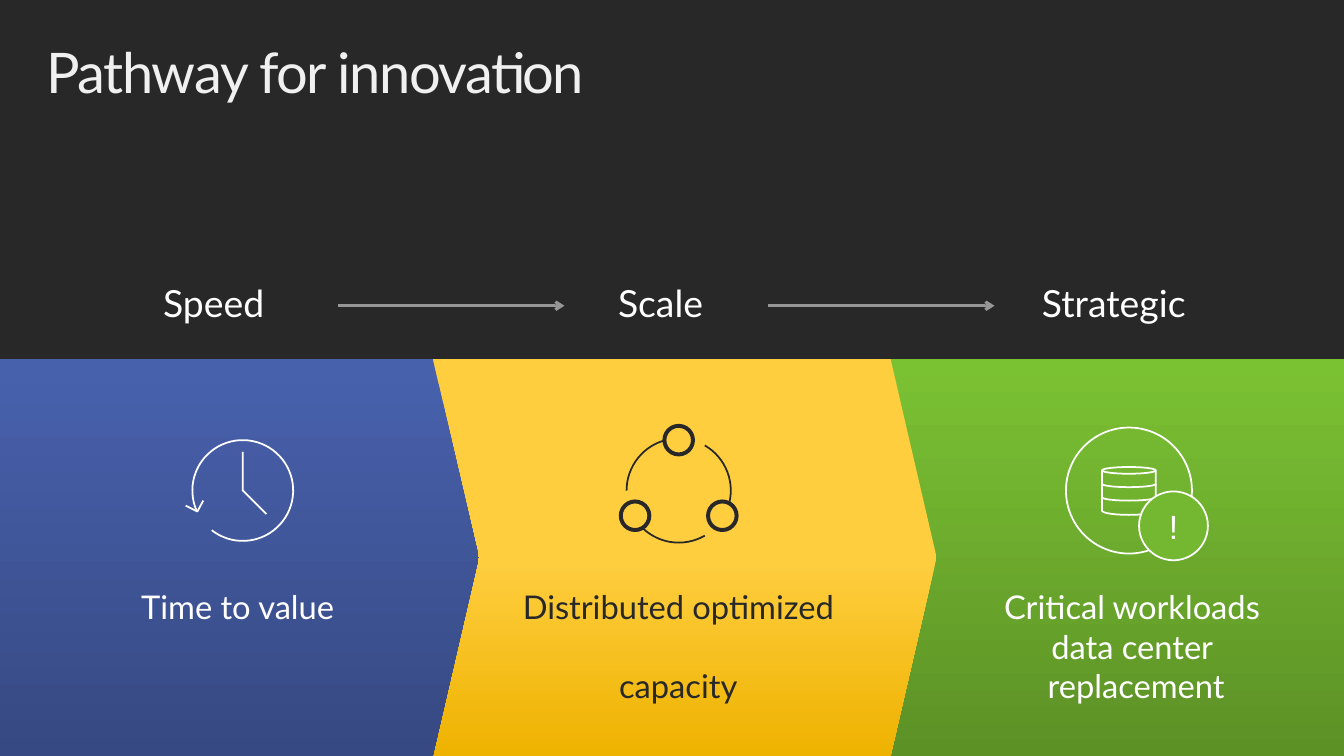
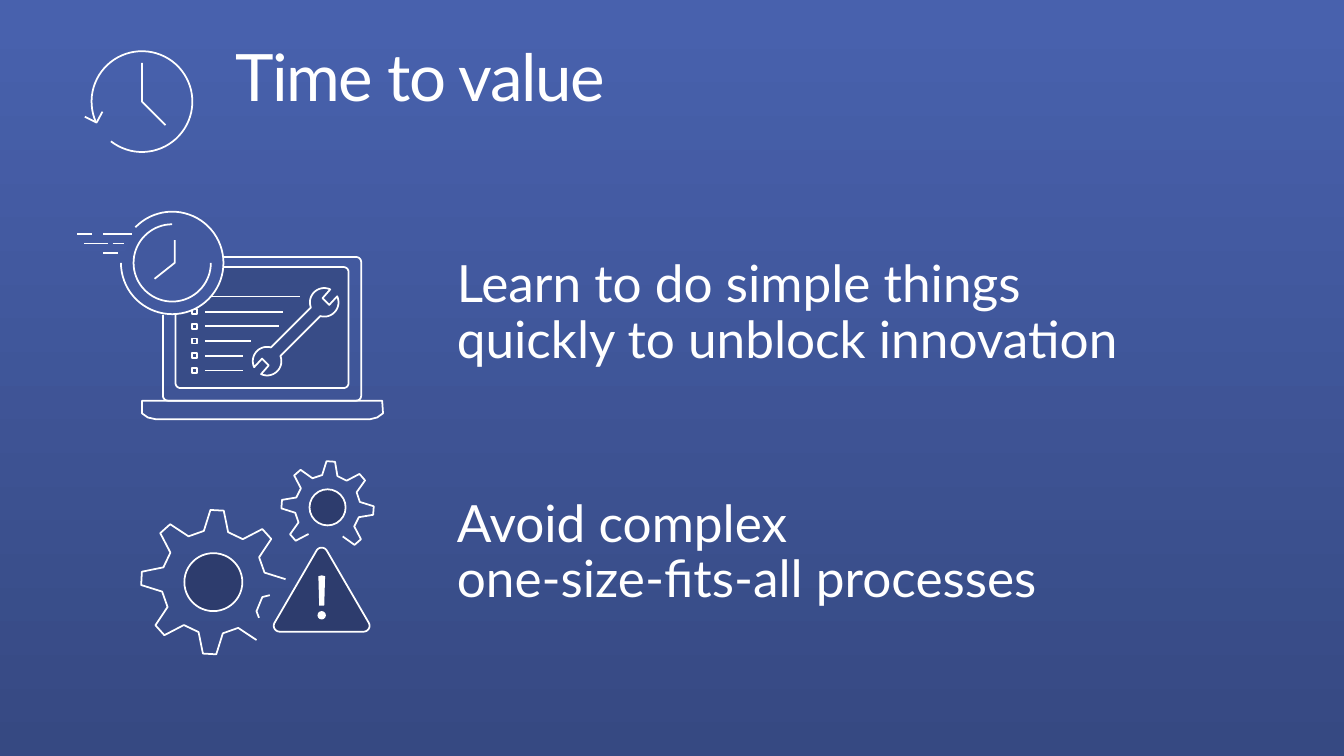
import copy
import math
from dataclasses import dataclass
from typing import Any, Callable

from pptx import Presentation
from pptx import util as u
from pptx.dml.color import RGBColor
from pptx.enum import shapes, text
from pptx.oxml import ns, xmlchemy

COLUMNS, ROWS = 16, 9
CELL = u.Inches(1)
FONT = "Lato"
WHITE = RGBColor(0xFF, 0xFF, 0xFF)
BLACK = RGBColor(0x00, 0x00, 0x00)
CHARCOAL = RGBColor(0x28, 0x28, 0x28)
TITLE_GREY = RGBColor(0xF0, 0xF0, 0xF0)
ARROW_GREY = RGBColor(0x96, 0x96, 0x96)
BADGE_GREEN = RGBColor(0x74, 0xB7, 0x30)
SCREEN_BLUE = RGBColor(0x38, 0x4C, 0x87)
WATCH_BLUE = RGBColor(0x42, 0x59, 0x9F)
DEEP_BLUE = RGBColor(0x2D, 0x3C, 0x6D)
BLUES = ((0.02, RGBColor(0x48, 0x61, 0xAD)), (1, RGBColor(0x36, 0x49, 0x82)))
YELLOWS = ((0.51, RGBColor(0xFF, 0xCE, 0x3F)), (1, RGBColor(0xEE, 0xB2, 0x00)))
GREENS = ((0, RGBColor(0x7B, 0xC2, 0x33)), (1, RGBColor(0x5C, 0x91, 0x26)))
RECTANGLE = shapes.MSO_SHAPE.RECTANGLE
ARROW_BAND = shapes.MSO_SHAPE.PENTAGON


def grid(*cells):
    return [u.Emu(round(cell * CELL)) for cell in cells]


def new_slide(presentation):
    slide = presentation.slides.add_slide(presentation.slide_layouts[6])
    slide.background.fill.solid()
    slide.background.fill.fore_color.rgb = CHARCOAL
    return slide


def write(frame, words, size, color, align=None, spacing=None, font=FONT, tracking=None):
    frame.word_wrap = True
    paragraph = frame.paragraphs[0]
    paragraph.text = words
    paragraph.alignment = align
    paragraph.line_spacing = spacing
    for run in paragraph.runs:
        run.font.size = u.Pt(size)
        run.font.name = font
        run.font.color.rgb = color
        if tracking:
            run.font._element.set("spc", str(tracking))
    for line_break in paragraph._p.findall(ns.qn("a:br")):
        line_break.append(copy.deepcopy(paragraph.runs[0].font._element))


def add_text(slide, box, words, size, color, **style):
    frame = slide.shapes.add_textbox(*grid(*box)).text_frame
    write(frame, words, size, color, **style)
    return frame


def add_title(slide, left, words, size, color):
    frame = add_text(slide, (left, 0.38, 15.65 - left, 1.18), words, size, color,
                     spacing=0.9, tracking=-120)
    frame.margin_left = frame.margin_right = u.Inches(0.2)
    frame.margin_top = frame.margin_bottom = u.Inches(0.16)


def add_band(slide, preset, box, stops):
    band = slide.shapes.add_shape(preset, *grid(*box))
    band.shadow.inherit = False
    band.line.fill.background()
    if preset == ARROW_BAND:
        band.adjustments[0] = 0.116
    band.fill.gradient()
    band.fill.gradient_angle = 270
    for stop, (position, color) in zip(band.fill.gradient_stops, stops):
        stop.position = position
        stop.color.rgb = color


def add_line(container, start, end, color, width):
    line = container.add_connector(shapes.MSO_CONNECTOR.STRAIGHT, *grid(*start, *end))
    line.line.color.rgb = color
    line.line.width = u.Pt(width)
    line._element.spPr.append(xmlchemy.OxmlElement("a:effectLst"))
    return line


def add_arrow(slide, left, top, length):
    arrow = add_line(slide.shapes, (left, top), (left + length, top), ARROW_GREY, 2.5)
    head = xmlchemy.OxmlElement("a:tailEnd")
    head.set("type", "arrow")
    arrow.line._get_or_add_ln().append(head)


def polar(x, y, radius, degrees, height=None):
    angle = math.radians(degrees)
    return (x + radius * math.cos(angle),
            y + (radius if height is None else height) * math.sin(angle))


def arc(x, y, radius, start, end, height=None):
    """Points along an arc; degrees run clockwise from the right."""
    steps = max(4, round(abs(end - start) / 5))
    return [polar(x, y, radius, start + (end - start) * i / steps, height)
            for i in range(steps + 1)]


class Icon:
    """A group of drawn shapes, measured in cells from a centre."""

    def __init__(self, slide, x, y, ink=WHITE):
        self.members = slide.shapes.add_group_shape().shapes
        self.x, self.y, self.ink = x, y, ink

    def finish(self, shape, fill, width):
        shape.shadow.inherit = False
        if fill is None:
            shape.fill.background()
        else:
            shape.fill.solid()
            shape.fill.fore_color.rgb = fill
        if width:
            shape.line.color.rgb = self.ink
            shape.line.width = u.Pt(width)
        else:
            shape.line.fill.background()
        return shape

    def outline(self, points, closed=False, fill=None, width=1.5):
        first, *rest = [grid(self.x + x, self.y + y) for x, y in points]
        builder = self.members.build_freeform(*first, scale=1.0)
        builder.add_line_segments(rest, close=closed)
        self.finish(builder.convert_to_shape(), fill, width)

    def ellipse(self, x, y, radius, height=None, fill=None, width=1.5):
        height = height or radius
        box = grid(self.x + x - radius, self.y + y - height, 2 * radius, 2 * height)
        return self.finish(self.members.add_shape(shapes.MSO_SHAPE.OVAL, *box), fill, width)

    def dash(self, left, right, y):
        add_line(self.members, (self.x + left, self.y + y), (self.x + right, self.y + y),
                 self.ink, 1.5)


def draw_clock(slide, x, y):
    icon = Icon(slide, x, y)
    icon.outline(arc(0, 0, 0.6, 128, -204))
    icon.outline([(0, -0.46), (0, 0), (0.28, 0.28)])
    icon.outline([(-0.47, 0.12), (-0.54, 0.25), (-0.68, 0.18)])


def draw_network(slide, x, y):
    icon = Icon(slide, x, y, CHARCOAL)
    for turn in (0, 120, 240):
        icon.ellipse(*polar(0, 0, 0.6, turn - 90), 0.17, width=3.4)
        icon.outline(arc(0, 0, 0.62, turn - 60, turn + 13))


def draw_database(slide, x, y):
    icon = Icon(slide, x, y)
    half, top, bottom = 0.32, -0.24, 0.24
    icon.ellipse(0, top, half, 0.04)
    icon.outline([(half, top)] + arc(0, bottom, half, 0, 180, 0.05) + [(-half, top)])
    for level in (-0.08, 0.08):
        icon.outline(arc(0, level, half, 0, 180, 0.04))
    icon.ellipse(0, 0, 0.75)
    badge = icon.ellipse(0.53, 0.42, 0.41, fill=BADGE_GREEN)
    badge.text_frame.vertical_anchor = text.MSO_ANCHOR.MIDDLE
    write(badge.text_frame, "!", 28.8, WHITE, text.PP_ALIGN.CENTER, font="Arial")


def frame_points(left, top, right, bottom, start, end, radius=0.06):
    """A rounded frame, open at its top left corner."""
    return ([(start, top)]
            + arc(right - radius, top + radius, radius, -90, 0)
            + arc(right - radius, bottom - radius, radius, 0, 90)
            + arc(left + radius, bottom - radius, radius, 90, 180)
            + [(left, end)])


def draw_wrench(icon, x, y):
    head_x, head_y, radius = 0.34, -0.35, 0.17
    half = (arc(head_x, head_y, radius, 159, 295)
            + [(head_x - 0.02, head_y - 0.05), (head_x + 0.06, head_y + 0.03)]
            + arc(head_x, head_y, radius, 335, 466))
    whole = half + [(-px, -py) for px, py in half]
    icon.outline([(x + px, y + py) for px, py in whole], closed=True)


def draw_stopwatch(icon, x, y):
    icon.outline(arc(x, y, 0.61, 180, -136), fill=WATCH_BLUE)
    icon.outline(arc(x, y, 0.46, 0, 270))
    icon.outline([(x - 0.21, y + 0.19), (x + 0.03, y), (x + 0.03, y - 0.27)])
    for left, right, level in ((-0.82, -0.48, -0.34), (-1.13, -0.96, -0.34),
                               (-1.05, -0.77, -0.23), (-0.71, -0.57, -0.23),
                               (-0.82, -0.65, -0.12)):
        icon.dash(x + left, x + right, y + level)


def draw_laptop(slide, x, y):
    icon = Icon(slide, x, y)
    base = [(-1.43, 0.85), (-1.43, 1), (-1.36, 1.05), (-1.27, 1.07),
            (1.29, 1.07), (1.37, 1.05), (1.44, 1), (1.43, 0.85)]
    icon.outline(base, closed=True)
    icon.outline(frame_points(-1.03, -0.74, 1.03, 0.7, -0.48, -0.17), fill=SCREEN_BLUE)
    icon.outline(frame_points(-1.18, -0.86, 1.18, 0.85, -0.47, -0.17))
    draw_wrench(icon, 0.4, 0.03)
    icon.dash(-0.61, 0.45, -0.39)
    for row, right in enumerate((0.25, 0.2, -0.13, -0.23, -0.23)):
        level = -0.21 + 0.175 * row
        icon.dash(-0.68, right, level)
        corners = [(-0.83, level - 0.03), (-0.77, level - 0.03),
                   (-0.77, level + 0.03), (-0.83, level + 0.03)]
        icon.outline(corners, closed=True)
    draw_stopwatch(icon, -1.07, -0.79)


def gear_points(x, y, root, tip, first, teeth):
    """Four points a tooth, eight teeth to a turn."""
    sides = ((root, -13.5), (tip, -5.3), (tip, 5.3), (root, 13.5))
    return [polar(x, y, radius, first + 45 * tooth + offset)
            for tooth in range(teeth) for radius, offset in sides]


def draw_gears(slide, x, y):
    icon = Icon(slide, x, y)
    big, small = (-0.46, 0.33), (0.9, -0.56)
    icon.outline(gear_points(*big, 0.62, 0.86, 48, 8)[2:-2])
    icon.outline([polar(*big, radius, angle) for radius, angle in
                  ((0.69, 38), (0.62, 34), (0.61, 17), (0.69, 13))])
    icon.ellipse(*big, 0.345, fill=DEEP_BLUE)
    icon.outline(gear_points(*small, 0.39, 0.55, 139, 7))
    icon.ellipse(*small, 0.215, fill=DEEP_BLUE)
    sign = 0.83
    corners = ((sign, -0.01, 210), (sign + 0.5, 0.85, 330), (sign - 0.5, 0.85, 90))
    icon.outline([point for cx, cy, start in corners
                  for point in arc(cx, cy, 0.07, start, start + 120)],
                 closed=True, fill=DEEP_BLUE)
    bar = [(-0.03, 0.61), (-0.04, 0.26), (0, 0.25), (0.04, 0.26), (0.03, 0.61)]
    icon.outline([(sign + px, py) for px, py in bar], closed=True, fill=WHITE, width=0)
    icon.ellipse(sign, 0.725, 0.05, fill=WHITE, width=0)


@dataclass
class Stage:
    heading: str
    caption: str
    preset: Any
    stops: tuple
    ink: RGBColor
    draw: Callable
    icon_x: float
    band: tuple  # left, width
    heading_span: tuple
    caption_span: tuple


STAGES = (
    Stage("Speed", "Time to value", ARROW_BAND, BLUES, WHITE, draw_clock, 2.89,
          (0, 5.7), (0.07, 4.95), (1.48, 2.7)),
    Stage("Scale", "Distributed optimized \ncapacity", ARROW_BAND, YELLOWS, CHARCOAL,
          draw_network, 8.08, (4.77, 6.38), (5.23, 5.27), (6.11, 3.93)),
    Stage("Strategic", "Critical workloads \ndata center \nreplacement", RECTANGLE, GREENS,
          WHITE, draw_database, 13.44, (10.49, 5.53), (10.52, 5.48), (11.18, 4.69)),
)


def add_stage(slide, stage, top, height):
    center = text.PP_ALIGN.CENTER
    left, width = stage.band
    add_band(slide, stage.preset, (left, top, width, height), stage.stops)
    left, width = stage.heading_span
    add_text(slide, (left, top - 0.92, width, 0.81), stage.heading, 32, WHITE,
             align=center, spacing=0.9)
    left, width = stage.caption_span
    add_text(slide, (left, top + 2.67, width, 1.79), stage.caption, 28, stage.ink,
             align=center)
    stage.draw(slide, stage.icon_x, top + 1.57)


def build_pathway(presentation):
    slide = new_slide(presentation)
    top = 4.27
    height = ROWS - top
    add_band(slide, RECTANGLE, (0, top, COLUMNS, height), ((0, BLACK), (1, BLACK)))
    for stage in reversed(STAGES):
        add_stage(slide, stage, top, height)
    for left in (4.02, 9.14):
        add_arrow(slide, left, 3.64, 2.7)
    add_title(slide, 0.35, "Pathway for innovation", 48, TITLE_GREY)


def build_time_to_value(presentation):
    slide = new_slide(presentation)
    add_band(slide, ARROW_BAND, (0, 0, 17.43, ROWS), BLUES)
    draw_clock(slide, 1.69, 1.21)
    points = ((3.03, 8.74, "Learn to do simple things quickly to unblock innovation",
               draw_laptop, 3.12, 3.92),
              (5.88, 7.57, "Avoid complex \none-size-fits-all processes",
               draw_gears, 3, 6.6))
    for top, width, words, draw, x, y in points:
        add_text(slide, (5.34, top, width, 1.46), words, 44, WHITE, spacing=0.9)
        draw(slide, x, y)
    add_title(slide, 2.6, "Time to value", 56, WHITE)


def main():
    presentation = Presentation()
    presentation.slide_width, presentation.slide_height = grid(COLUMNS, ROWS)
    build_pathway(presentation)
    build_time_to_value(presentation)
    presentation.save("out.pptx")


if __name__ == "__main__":
    main()
